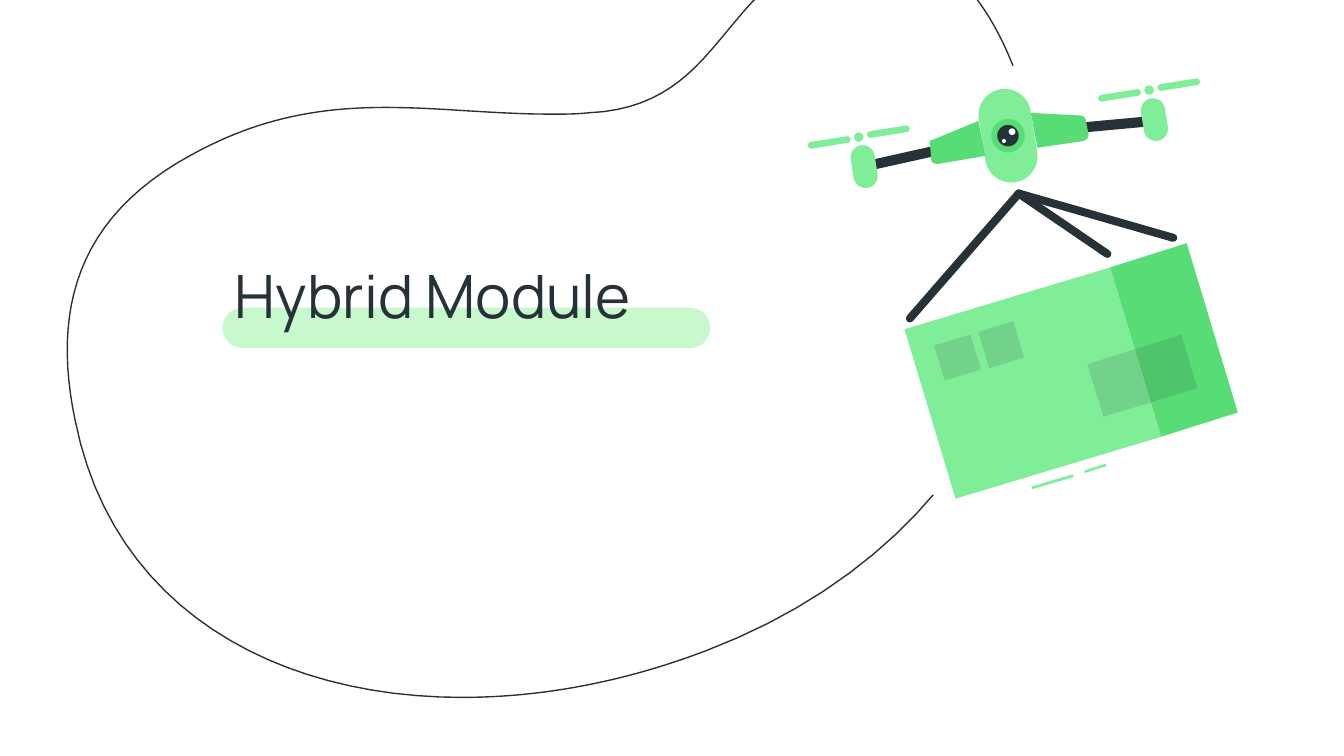
from dataclasses import dataclass
from typing import Optional

from lxml.etree import SubElement
from pptx import Presentation
from pptx.dml.color import RGBColor
from pptx.enum.shapes import MSO_CONNECTOR, MSO_SHAPE
from pptx.enum.text import MSO_ANCHOR
from pptx.oxml.ns import qn
from pptx.util import Inches, Pt

INK = RGBColor(0x26, 0x32, 0x38)
LABEL = RGBColor(0x1A, 0x23, 0x27)
MINT = RGBColor(0x80, 0xED, 0x99)
GREEN = RGBColor(0x58, 0xDD, 0x76)
PALE = RGBColor(0xC7, 0xF9, 0xCC)
WHITE = RGBColor(0xFF, 0xFF, 0xFF)

TILT = -9
CURVE_STEPS = 24

Point = tuple[float, float]
Segment = tuple[Point, ...]  # one point: straight line; three points: cubic curve


@dataclass(frozen=True)
class Outline:
    start: Point
    segments: tuple[Segment, ...]
    color: Optional[RGBColor] = None
    opacity: int = 100


@dataclass(frozen=True)
class Rounded:
    """A preset shape placed by its centre."""
    center: Point
    width: float
    height: float
    color: RGBColor
    kind: MSO_SHAPE = MSO_SHAPE.ROUNDED_RECTANGLE
    rotation: float = TILT


@dataclass(frozen=True)
class Rod:
    start: Point
    end: Point
    points: float
    cap: str


def polygon(color: RGBColor, *corners: Point, opacity: int = 100) -> Outline:
    return Outline(corners[0], tuple((corner,) for corner in corners[1:]), color, opacity)


def circle(center: Point, diameter: float, color: RGBColor) -> Rounded:
    return Rounded(center, diameter, diameter, color, MSO_SHAPE.OVAL, 0)


def curve_points(start: Point, segment: Segment) -> list[Point]:
    """Points along a cubic curve, without its start."""
    controls = (start, *segment)
    points = []
    for step in range(1, CURVE_STEPS + 1):
        t = step / CURVE_STEPS
        weights = ((1 - t) ** 3, 3 * t * (1 - t) ** 2, 3 * t * t * (1 - t), t ** 3)
        points.append(tuple(sum(weight * control[axis] for weight, control in zip(weights, controls))
                            for axis in (0, 1)))
    return points


def draw_outline(page, outline: Outline) -> None:
    vertices, last = [], outline.start
    for segment in outline.segments:
        vertices += segment if len(segment) == 1 else curve_points(last, segment)
        last = segment[-1]
    builder = page.shapes.build_freeform(*map(Inches, outline.start))
    builder.add_line_segments([(Inches(x), Inches(y)) for x, y in vertices], close=True)
    shape = builder.convert_to_shape()
    shape.shadow.inherit = False
    if outline.color is None:
        shape.fill.background()
        shape.line.color.rgb = INK
        shape.line.width = Pt(0.75)
        return
    shape.fill.solid()
    shape.fill.fore_color.rgb = outline.color
    shape.line.fill.background()
    if outline.opacity < 100:
        color = shape.fill._xPr.find(".//" + qn("a:srgbClr"))
        SubElement(color, qn("a:alpha"), val=str(outline.opacity * 1000))


def draw_rounded(page, item: Rounded) -> None:
    x, y = item.center
    shape = page.shapes.add_shape(item.kind, Inches(x - item.width / 2), Inches(y - item.height / 2),
                                  Inches(item.width), Inches(item.height))
    if item.kind == MSO_SHAPE.ROUNDED_RECTANGLE:
        shape.adjustments[0] = 0.5
    shape.rotation = item.rotation
    shape.shadow.inherit = False
    shape.fill.solid()
    shape.fill.fore_color.rgb = item.color
    shape.line.fill.background()


def draw_rod(page, rod: Rod) -> None:
    line = page.shapes.add_connector(MSO_CONNECTOR.STRAIGHT, *map(Inches, rod.start + rod.end))
    line.line.color.rgb = INK
    line.line.width = Pt(rod.points)
    line.line._get_or_add_ln().set("cap", rod.cap)
    SubElement(line._element.spPr, qn("a:effectLst"))


def draw_rotor(page, x: float, y: float) -> None:
    draw_rounded(page, Rounded((x, y), 0.18, 0.32, MINT))
    hub_x, hub_y = x - 0.04, y - 0.22
    draw_rounded(page, circle((hub_x, hub_y), 0.07, MINT))
    for side in (-1, 1):
        blade = (hub_x + side * 0.22, hub_y - side * 0.04)
        draw_rounded(page, Rounded(blade, 0.32, 0.05, MINT))


def draw_title(page, text: str) -> None:
    box = page.shapes.add_textbox(Inches(1.65), Inches(1.8), Inches(4.23), Inches(0.79))
    frame = box.text_frame
    frame.word_wrap = True
    frame.vertical_anchor = MSO_ANCHOR.MIDDLE
    frame.margin_left = frame.margin_right = frame.margin_top = frame.margin_bottom = Inches(0.1)
    frame.text = text
    font = frame.paragraphs[0].runs[0].font
    font.name, font.size = "Manrope", Pt(32)
    font.color.rgb = INK


ROUTE = Outline((6.51, -0.44), (
    ((6.36, -0.44), (6.19, -0.4), (6.01, -0.31)),
    ((5.34, 0.04), (5.29, 0.8), (4.38, 0.84)),
    ((4.29, 0.85), (4.2, 0.85), (4.11, 0.85)),
    ((3.67, 0.85), (3.27, 0.8), (2.87, 0.8)),
    ((2.4, 0.8), (1.94, 0.87), (1.43, 1.15)),
    ((0.56, 1.62), (0.39, 2.32), (0.56, 3.13)),
    ((0.84, 4.53), (2.05, 5.19), (3.44, 5.19)),
    ((4.04, 5.19), (4.66, 5.07), (5.26, 4.84)),
    ((7.17, 4.11), (8.05, 2.42), (7.62, 0.74)),
    ((7.48, 0.23), (7.12, -0.44), (6.51, -0.44)),
))
PARCEL = (
    polygon(MINT, (7.98, 3.53), (7.68, 3.62), (7.68, 3.64), (7.99, 3.55)),
    polygon(MINT, (8.23, 3.45), (8.07, 3.5), (8.07, 3.52), (8.23, 3.47)),
    polygon(MINT, (8.26, 1.99), (6.73, 2.45), (7.11, 3.71), (8.64, 3.25)),
    polygon(GREEN, (8.83, 1.81), (8.26, 1.99), (8.64, 3.25), (9.21, 3.07)),
    polygon(LABEL, (8.79, 2.49), (8.09, 2.71), (8.21, 3.1), (8.91, 2.89), opacity=13),
    polygon(LABEL, (7.22, 2.49), (6.95, 2.57), (7.03, 2.83), (7.3, 2.75), opacity=13),
    polygon(LABEL, (7.54, 2.39), (7.28, 2.47), (7.36, 2.74), (7.62, 2.66), opacity=13),
)
BODY = (
    Rounded((7.5, 1.01), 0.39, 0.7, MINT),
    circle((7.5, 1.01), 0.25, GREEN),
    circle((7.5, 1.01), 0.16, INK),
    circle((7.53, 0.98), 0.05, WHITE),
    circle((7.47, 1.05), 0.03, WHITE),
)
AXLES = (
    Rod((8.04, 0.95), (8.58, 0.9), 5.4, "flat"),
    Rod((6.43, 1.24), (6.97, 1.12), 5.4, "flat"),
)
ROTORS = ((8.59, 0.89), (6.43, 1.24))
ARMS = (
    Outline((7.67, 0.84), (
        ((7.72, 1.1),), ((8.06, 1.05),), ((8.09, 1.04), (8.1, 1.02), (8.1, 1)),
        ((8.08, 0.9),), ((8.08, 0.88), (8.06, 0.86), (8.04, 0.86)),
    ), GREEN),
    Outline((7.28, 0.9), (
        ((6.94, 1.04),), ((6.92, 1.04), (6.91, 1.06), (6.92, 1.08)),
        ((6.93, 1.19),), ((6.93, 1.21), (6.95, 1.22), (6.98, 1.22)), ((7.33, 1.16),),
    ), GREEN),
)
HOOK = (7.58, 1.44)
STRAP_ENDS = ((8.73, 1.77), (8.24, 1.89), (6.77, 2.37))


def main() -> None:
    deck = Presentation()
    deck.slide_width = Inches(10)
    deck.slide_height = deck.slide_width * 9 // 16
    page = deck.slides.add_slide(deck.slide_layouts[6])
    draw_outline(page, ROUTE)
    draw_rounded(page, Rounded((3.47, 2.44), 3.63, 0.3, PALE, rotation=0))
    draw_title(page, "Hybrid Module")
    draw_rounded(page, circle((7.8, 2.19), 3.44, WHITE))
    for outline in PARCEL:
        draw_outline(page, outline)
    for item in BODY:
        draw_rounded(page, item)
    for axle in AXLES:
        draw_rod(page, axle)
    for x, y in ROTORS:
        draw_rotor(page, x, y)
    for arm in ARMS:
        draw_outline(page, arm)
    for end in STRAP_ENDS:
        draw_rod(page, Rod(HOOK, end, 4.3, "rnd"))
    deck.save("out.pptx")


if __name__ == "__main__":
    main()
